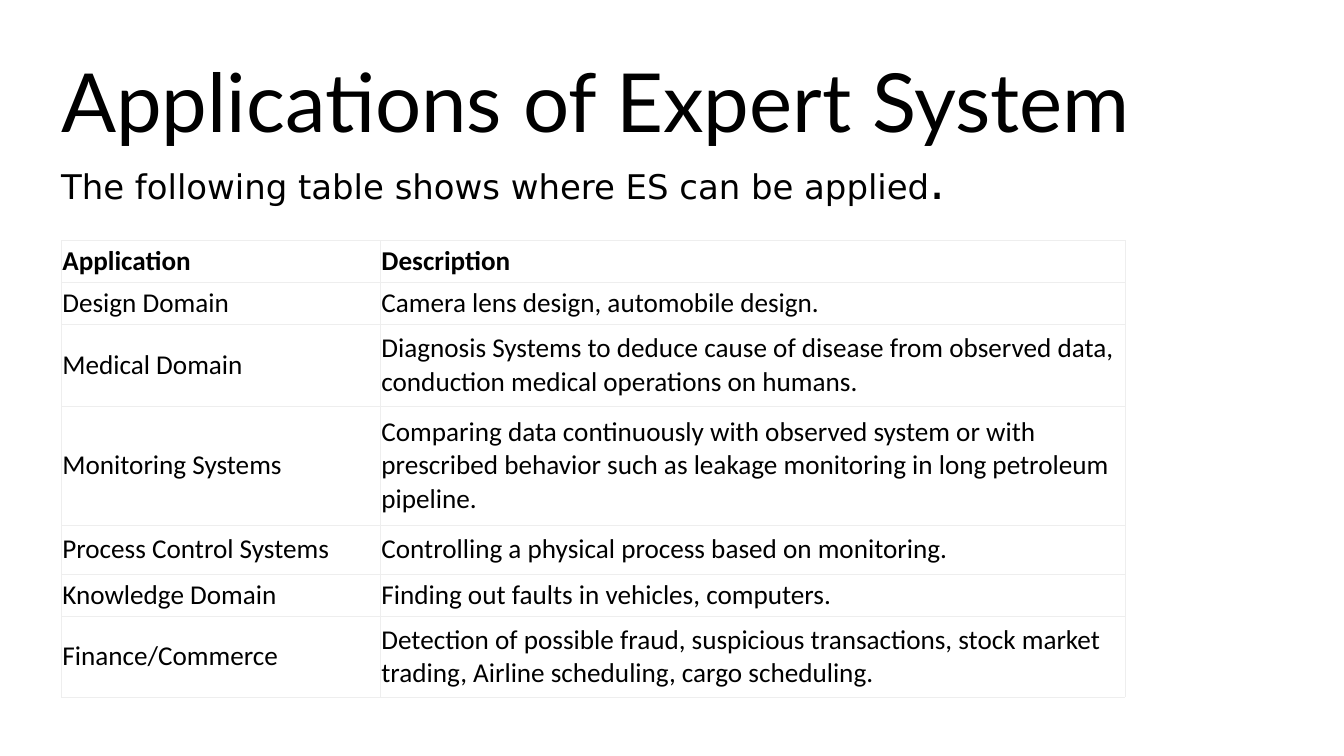
from dataclasses import dataclass

from lxml.etree import SubElement
from pptx import Presentation
from pptx.dml.color import RGBColor as RGB
from pptx.enum.text import MSO_ANCHOR as Anchor
from pptx.oxml.ns import qn
from pptx.util import Inches, Length, Pt

SLIDE_W, SLIDE_H = Inches(21.99), Inches(12.37)
COLORS = {"text": "000000", "border": "EEEEEE"}
LEFT = 4.55  # shared left margin, percent of slide width
COLUMNS = (23.74, 55.43)  # percent of slide width
BORDER_W = Pt(0.33)
CELL_INSET = Inches(0.02)


@dataclass
class Row:
    application: str
    description: str
    height: float = 5.58  # percent of slide height
    bold: bool = False


ROWS = [
    Row("Application", "Description", bold=True),
    Row("Design Domain", "Camera lens design, automobile design."),
    Row("Medical Domain",
        "Diagnosis Systems to deduce cause of disease from observed data, "
        "conduction medical operations on humans.", 10.75),
    Row("Monitoring Systems",
        "Comparing data continuously with observed system or with prescribed "
        "behavior such as leakage monitoring in long petroleum pipeline.", 15.84),
    Row("Process Control Systems",
        "Controlling a physical process based on monitoring.", 6.39),
    Row("Knowledge Domain", "Finding out faults in vehicles, computers."),
    Row("Finance/Commerce",
        "Detection of possible fraud, suspicious transactions, stock market "
        "trading, Airline scheduling, cargo scheduling.", 10.75),
]


def across(percent: float) -> Length:
    return Length(round(SLIDE_W * percent / 100))


def down(percent: float) -> Length:
    return Length(round(SLIDE_H * percent / 100))


def add_text(p, text: str, *, size: float, font: str, bold: bool = False,
             color: str = "text") -> None:
    r = p.add_run()
    r.text = text
    r.font.size = Pt(size)
    r.font.name = font
    r.font.bold = bold
    r.font.color.rgb = RGB.from_string(COLORS[color])


def set_borders(cell) -> None:
    tc_pr = cell._tc.get_or_add_tcPr()
    for i, side in enumerate(("lnL", "lnR", "lnT", "lnB")):
        ln = SubElement(tc_pr, qn(f"a:{side}"), w=str(int(BORDER_W)))
        fill = SubElement(ln, qn("a:solidFill"))
        SubElement(fill, qn("a:srgbClr"), val=COLORS["border"])
        tc_pr.insert(i, ln)  # borders precede the cell fill


def fill_cell(cell, text: str, bold: bool) -> None:
    cell.margin_left = cell.margin_right = CELL_INSET
    cell.margin_top = cell.margin_bottom = CELL_INSET
    cell.vertical_anchor = Anchor.MIDDLE
    cell.fill.background()
    set_borders(cell)
    add_text(cell.text_frame.paragraphs[0], text, size=32, font="Calibri", bold=bold)


def add_heading(s) -> None:
    tf = s.shapes.add_textbox(across(LEFT), down(6.71), across(82.67), down(29.1)).text_frame
    tf.word_wrap = True
    tf.margin_left = tf.margin_right = tf.margin_top = tf.margin_bottom = 0
    add_text(tf.paragraphs[0], "Applications of Expert System", size=96, font="Lato")
    p = tf.add_paragraph()
    add_text(p, "The following table shows where ES can be applied", size=40, font="DejaVu Sans")
    add_text(p, ".", size=60, font="DejaVu Sans")


def add_applications(s) -> None:
    table = s.shapes.add_table(
        len(ROWS), len(COLUMNS), across(LEFT), down(31.77),
        across(sum(COLUMNS)), down(sum(row.height for row in ROWS))).table
    table.first_row = table.horz_banding = False
    for column, width in zip(table.columns, COLUMNS):
        column.width = across(width)
    for table_row, row in zip(table.rows, ROWS):
        table_row.height = down(row.height)
        for cell, text in zip(table_row.cells, (row.application, row.description)):
            fill_cell(cell, text, row.bold)


def main() -> None:
    prs = Presentation()
    prs.slide_width, prs.slide_height = SLIDE_W, SLIDE_H
    s = prs.slides.add_slide(prs.slide_layouts[6])
    # Title and lead-in
    add_heading(s)
    # Table of application areas
    add_applications(s)
    prs.save("out.pptx")


if __name__ == "__main__":
    main()
